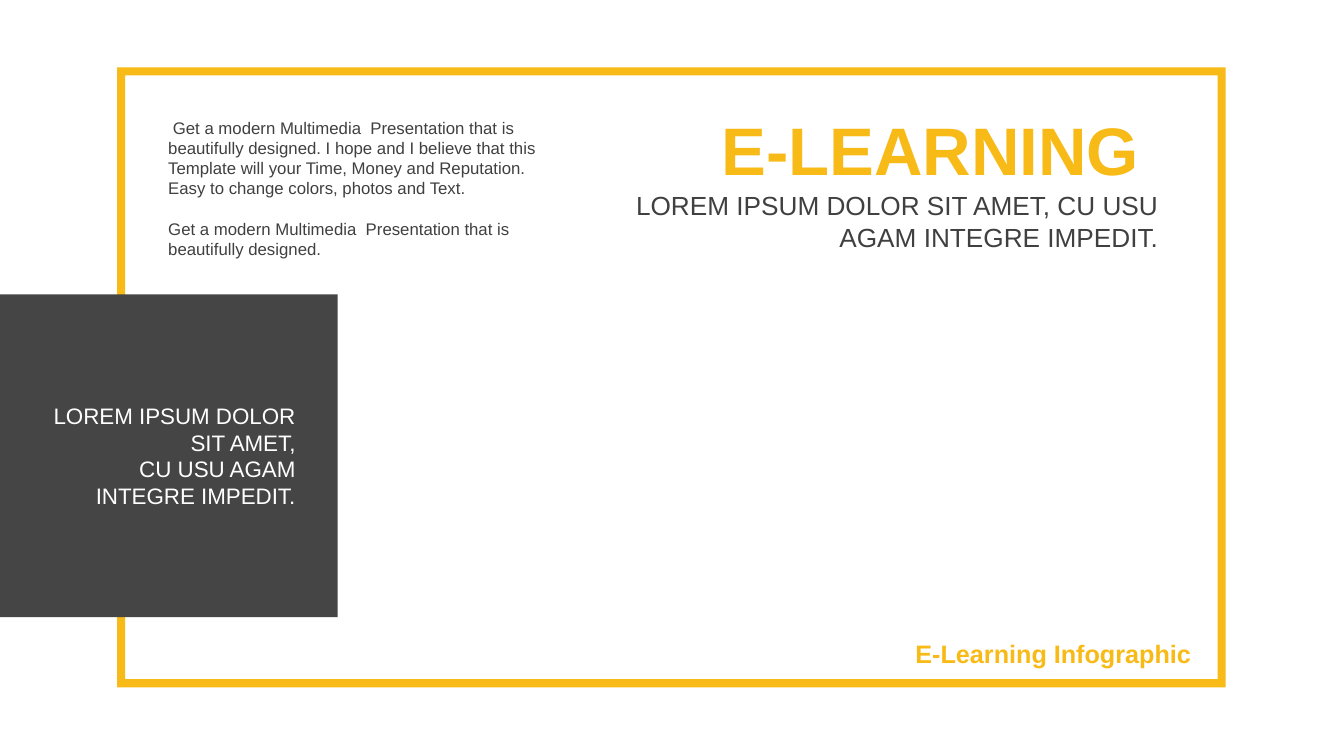
from dataclasses import dataclass

from pptx import Presentation
from pptx.dml.color import RGBColor
from pptx.enum.shapes import MSO_SHAPE
from pptx.enum.text import MSO_ANCHOR, PP_ALIGN
from pptx.util import Cm, Pt

FRAME, RECT = MSO_SHAPE.FRAME, MSO_SHAPE.RECTANGLE
TOP, MIDDLE = MSO_ANCHOR.TOP, MSO_ANCHOR.MIDDLE
LEFT, RIGHT = PP_ALIGN.LEFT, PP_ALIGN.RIGHT


@dataclass(frozen=True)
class Theme:
    font: str = "Arial"
    yellow: str = "F8BA16"
    gray: str = "454545"
    ink: str = "404040"
    white: str = "FFFFFF"
    title: float = 48
    subtitle: float = 18.7
    footer: float = 18
    panel: float = 16
    body: float = 12
    paragraph_gap: float = 14.4


theme = Theme()


def add_block(kind, left, top, width, height, color):
    sp = s.shapes.add_shape(kind, Cm(left), Cm(top), Cm(width), Cm(height))
    sp.shadow.inherit = False
    sp.fill.solid()
    sp.fill.fore_color.rgb = RGBColor.from_string(color)
    sp.line.fill.background()
    return sp


def write(sp, *paragraphs, size, color, bold=False, align=RIGHT, anchor=TOP, gap=0):
    tf = sp.text_frame
    tf.word_wrap = True
    tf.vertical_anchor = anchor
    for i, text in enumerate(paragraphs):
        p = tf.paragraphs[0] if i == 0 else tf.add_paragraph()
        p.alignment = align
        if i and gap:
            p.space_before = Pt(gap)
        r = p.add_run()
        r.text = text
        r.font.name = theme.font
        r.font.size = Pt(size)
        r.font.bold = bold
        r.font.color.rgb = RGBColor.from_string(color)


prs = Presentation()
prs.slide_width, prs.slide_height = Cm(33.87), Cm(19.05)
s = prs.slides.add_slide(prs.slide_layouts[6])

# Border and side panel
border = add_block(FRAME, 2.95, 1.7, 27.94, 15.62, theme.yellow)
border.adjustments[0] = 0.013
add_block(RECT, 0, 7.42, 8.51, 8.13, theme.gray)

panel_text = s.shapes.add_textbox(Cm(0.84), Cm(9.98), Cm(6.86), Cm(3))
write(panel_text, "LOREM IPSUM DOLOR SIT AMET,", "CU USU AGAM INTEGRE IMPEDIT.",
      size=theme.panel, color=theme.white, anchor=MIDDLE)

footer = s.shapes.add_textbox(Cm(18.03), Cm(15.95), Cm(12.24), Cm(1.02))
write(footer, "E-Learning Infographic", size=theme.footer, color=theme.yellow, bold=True)

# Heading
subtitle = s.shapes.add_textbox(Cm(14.81), Cm(4.65), Cm(14.63), Cm(1.85))
write(subtitle, "LOREM IPSUM DOLOR SIT AMET, CU USU AGAM INTEGRE IMPEDIT.",
      size=theme.subtitle, color=theme.ink, anchor=MIDDLE)

title = add_block(RECT, 14.81, 2.59, 14.63, 2.31, theme.white)
write(title, "E-LEARNING ", size=theme.title, color=theme.yellow, bold=True, anchor=MIDDLE)

# Introduction
intro = s.shapes.add_textbox(Cm(3.99), Cm(2.84), Cm(10.24), Cm(3.84))
write(intro,
      " Get a modern Multimedia  Presentation that is beautifully designed. "
      "I hope and I believe that this Template will your Time, Money and Reputation. "
      "Easy to change colors, photos and Text.",
      "Get a modern Multimedia  Presentation that is beautifully designed.",
      size=theme.body, color=theme.ink, align=LEFT, gap=theme.paragraph_gap)

prs.save("out.pptx")
